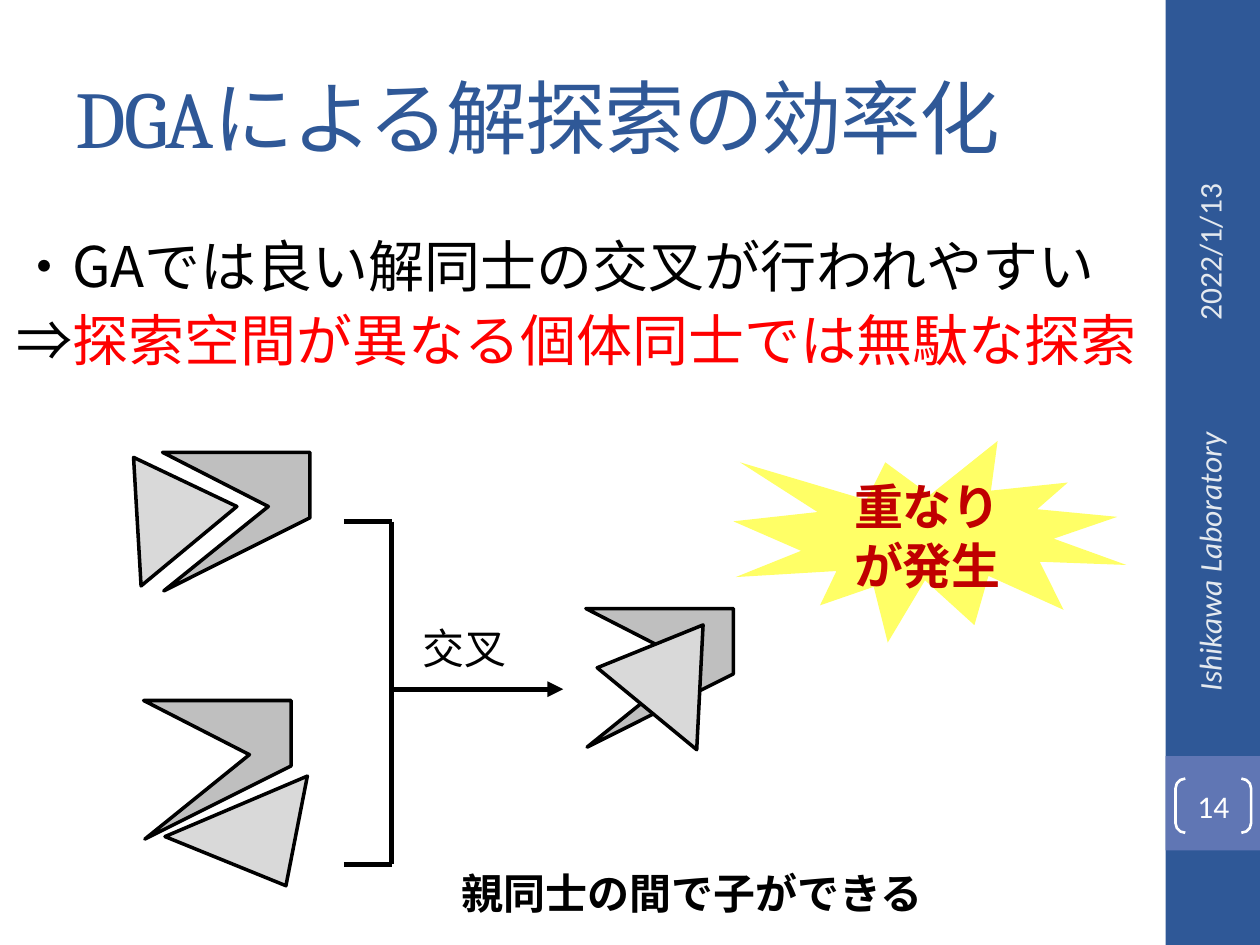
"""Build the slide on making the solution search efficient with DGA."""
from pptx import Presentation
from pptx.dml.color import RGBColor
from pptx.enum.shapes import MSO_CONNECTOR as CONN, MSO_SHAPE as SHAPE
from pptx.enum.text import MSO_ANCHOR as ANCHOR, MSO_AUTO_SIZE as AUTO, PP_ALIGN as ALIGN
from pptx.oxml.ns import qn
from pptx.util import Pt
from lxml.etree import SubElement

PX = 9144
JP = "Noto Sans CJK JP"
rgb = RGBColor.from_string


def write(tf, text, size=18, font="Calibri", color="000000", bold=False, italic=False,
          align=ALIGN.LEFT, spacing=None, anchor=ANCHOR.TOP, track=None):
    tf.word_wrap = True
    tf.vertical_anchor = anchor
    p = tf.paragraphs[0]
    p.alignment = align
    if spacing:
        p.line_spacing = Pt(spacing)
    r = p.add_run()
    r.text = text
    f = r.font
    f.size, f.name, f.bold, f.italic = Pt(size), font, bold, italic
    f.color.rgb = rgb(color)
    SubElement(r._r.rPr, qn("a:ea"), typeface=JP)
    if track:
        r._r.rPr.set("spc", str(track))


def style(sp, fill=None, line=None, width=2):
    sp.shadow.inherit = False
    if fill:
        sp.fill.solid()
        sp.fill.fore_color.rgb = rgb(fill)
    else:
        sp.fill.background()
    if line:
        sp.line.color.rgb = rgb(line)
        sp.line.width = Pt(width)
    else:
        sp.line.fill.background()


prs = Presentation()
prs.slide_width, prs.slide_height = 1000 * PX, 750 * PX
s = prs.slides.add_slide(prs.slide_layouts[5])
shapes = s.shapes

title = shapes.title
title.left, title.top, title.width, title.height = [v * PX for v in (50, 30, 867, 125)]
title.text_frame.auto_size = AUTO.NONE
write(title.text_frame, "DGAによる解探索の効率化", size=46, font="Cambria", color="2F5897",
      anchor=ANCHOR.MIDDLE, track=-100)

for top, height, fill in [(0, 750, "2F5897"), (600, 75, "6076B4")]:
    band = shapes.add_shape(SHAPE.RECTANGLE, 925 * PX, top * PX, 75 * PX, height * PX)
    style(band, fill)

for text, left, top, width, align, italic in [
    ("2022/1/13", 826, 180, 267, ALIGN.CENTER, False),
    ("Ishikawa Laboratory", 830, 443, 259, ALIGN.RIGHT, True),
]:
    box = shapes.add_textbox(left * PX, top * PX, width * PX, 40 * PX)
    box.rotation = 270
    write(box.text_frame, text, color="E4E9EF", italic=italic, align=align, anchor=ANCHOR.MIDDLE)

number = shapes.add_shape(SHAPE.DOUBLE_BRACKET, 933 * PX, 618 * PX, 60 * PX, 43 * PX)
number.adjustments[0] = 0.18
style(number, line="FFFFFF", width=1.5)
tf = number.text_frame
tf.margin_left = tf.margin_top = tf.margin_right = tf.margin_bottom = 0
write(tf, "14", color="FFFFFF", align=ALIGN.CENTER, anchor=ANCHOR.MIDDLE)

for top, runs in [
    (186, [("・GAでは良い解同士の交叉が行われやすい", "000000")]),
    (245, [("⇒", "000000"), ("探索空間が異なる個体同士では無駄な探索", "FF0000")]),
]:
    box = shapes.add_textbox(3 * PX, top * PX, 925 * PX, 56 * PX)
    for text, color in runs:
        write(box.text_frame, text, size=32, font=JP, color=color, spacing=33)

notch = [(0, 0), (117, 0), (117, 52), (1, 110), (84, 43)]
for (x, y), triangle in [
    ((129, 359), [(106, 363), (188, 402), (112, 465)]),
    ((114, 556), [(244, 616), (227, 703), (131, 664)]),
    ((465, 483), [(474, 530), (558, 496), (553, 595)]),
]:
    for points, fill in [([(x + dx, y + dy) for dx, dy in notch], "BFBFBF"), (triangle, "D9D9D9")]:
        fb = shapes.build_freeform(*points[0], scale=PX)
        fb.add_line_segments(points[1:], close=True)
        style(fb.convert_to_shape(), fill, "000000")

for ends in [(273, 414, 311, 414), (273, 686, 311, 686), (311, 414, 311, 686), (311, 547, 447, 547)]:
    line = shapes.add_connector(CONN.STRAIGHT, *[v * PX for v in ends])
    line.line.color.rgb = rgb("000000")
    line.line.width = Pt(3)
    SubElement(line._element.spPr, qn("a:effectLst"))
SubElement(line.line._get_or_add_ln(), qn("a:tailEnd"), type="triangle")

for text, left, top, width, bold in [
    ("交叉", 291, 483, 156, False),
    ("親同士の間で子ができる", 325, 678, 449, True),
]:
    box = shapes.add_textbox(left * PX, top * PX, width * PX, 56 * PX)
    write(box.text_frame, text, size=24, font=JP, bold=bold, align=ALIGN.CENTER, spacing=33)

seal = shapes.add_shape(SHAPE.EXPLOSION1, 582 * PX, 350 * PX, 312 * PX, 160 * PX)
style(seal, "FFFF66")
write(seal.text_frame, "重なりが発生", size=28, color="C00000", bold=True,
      align=ALIGN.CENTER, anchor=ANCHOR.MIDDLE)

prs.save("out.pptx")
